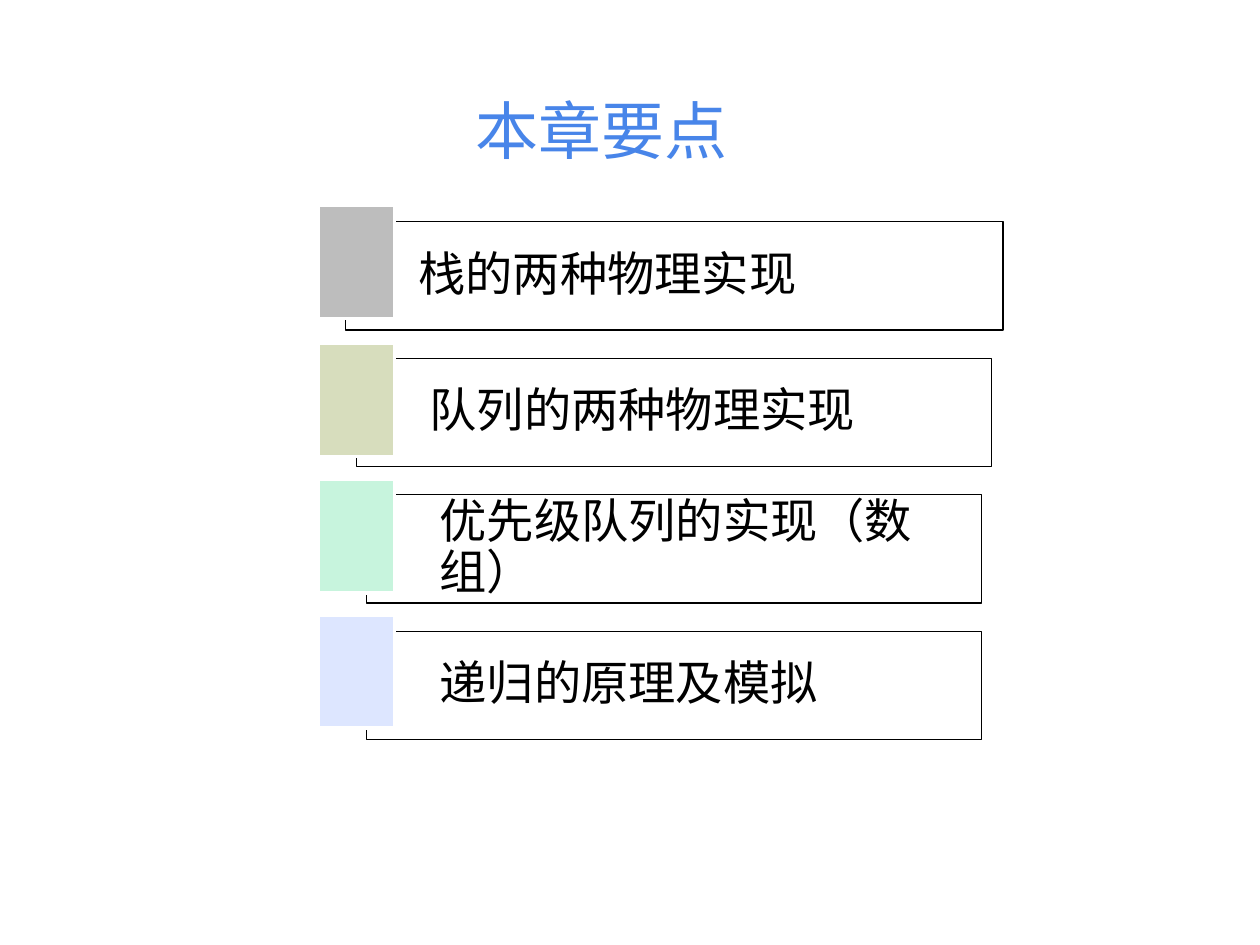
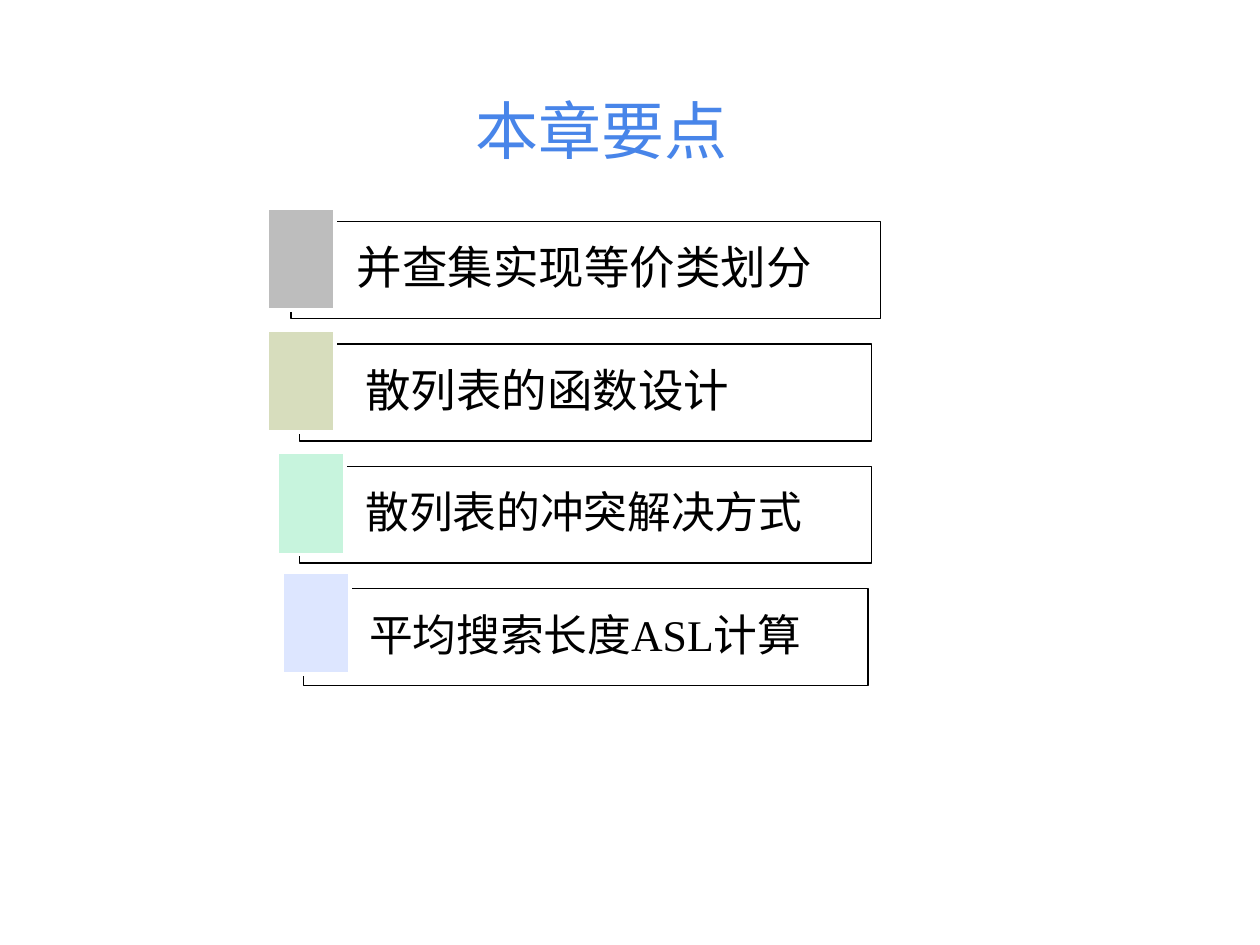
import pptx
import pptx.util
import pptx.dml.color
import pptx.enum.shapes
import pptx.enum.text
import pptx.oxml
import pptx.oxml.ns

Inches, Pt = pptx.util.Inches, pptx.util.Pt
RGBColor = pptx.dml.color.RGBColor
ALIGN = pptx.enum.text.PP_ALIGN
ANCHOR = pptx.enum.text.MSO_ANCHOR

# Content: each point is (text, size, bar left, tab left, tab rise above the bar)
TITLE = "本章要点"
CHAPTERS = [
    dict(center=5.35, last_top=5.01, bar_height=0.86, tab_size=(0.6, 0.9), indent=0.58,
         points=[("栈的两种物理实现", 27, 2.74, 2.53, 0.13),
                 ("队列的两种物理实现", 27, 2.83, 2.53, 0.12),
                 ("优先级队列的实现（数组）", 27, 2.91, 2.53, 0.12),
                 ("递归的原理及模拟", 27, 2.91, 2.53, 0.13)]),
    dict(center=4.65, last_top=4.67, bar_height=0.77, tab_size=(0.54, 0.81), indent=0.52,
         points=[("并查集实现等价类划分", 26, 2.31, 2.12, 0.11),
                 ("散列表的函数设计", 26, 2.38, 2.12, 0.11),
                 ("散列表的冲突解决方式", 25, 2.38, 2.2, 0.11),
                 ("平均搜索长度ASL计算", 25, 2.41, 2.24, 0.13)]),
]

# Shared style
FONT = "Times New Roman"
BLUE = RGBColor(0x48, 0x85, 0xE9)
BLACK = RGBColor(0, 0, 0)
WHITE = RGBColor(0xFF, 0xFF, 0xFF)
TAB_COLORS = [RGBColor(0xBD, 0xBD, 0xBD), RGBColor(0xD7, 0xDD, 0xBD),
              RGBColor(0xC7, 0xF4, 0xDD), RGBColor(0xDD, 0xE6, 0xFF)]
FIRST_TOP = 1.76
BAR_OPACITY = 40


def write(shape, text, size, color, align=ALIGN.LEFT, anchor=ANCHOR.TOP,
          insets=(0.1, 0.05, 0.1, 0.05), line_spacing=1.0, space_after=0):
    frame = shape.text_frame
    frame.word_wrap = True
    frame.vertical_anchor = anchor
    (frame.margin_left, frame.margin_top,
     frame.margin_right, frame.margin_bottom) = map(Inches, insets)
    paragraph = frame.paragraphs[0]
    paragraph.alignment = align
    paragraph.line_spacing = line_spacing
    paragraph.space_after = Pt(space_after)
    run = paragraph.add_run()
    run.text = text
    run.font.name = FONT
    run.font.size = Pt(size)
    run.font.color.rgb = color


def add_box(slide, left, top, width, height, fill, line, line_width, opacity=100):
    box = slide.shapes.add_shape(pptx.enum.shapes.MSO_SHAPE.RECTANGLE,
                                 *map(Inches, (left, top, width, height)))
    box.shadow.inherit = False
    box.fill.solid()
    box.fill.fore_color.rgb = fill
    box.line.color.rgb = line
    box.line.width = Pt(line_width)
    if opacity < 100:
        color = box.fill._xPr.find(".//" + pptx.oxml.ns.qn("a:srgbClr"))
        alpha = pptx.oxml.parse_xml(
            f'<a:alpha {pptx.oxml.ns.nsdecls("a")} val="{opacity * 1000}"/>')
        color.append(alpha)
    return box


def add_chapter(prs, chapter):
    slide = prs.slides.add_slide(prs.slide_layouts[6])
    points = chapter["points"]
    pitch = (chapter["last_top"] - FIRST_TOP) / (len(points) - 1)

    # Bars centred on one axis, each with a coloured tab over its left edge
    for row, (text, size, left, tab_left, rise) in enumerate(points):
        top = FIRST_TOP + row * pitch
        bar = add_box(slide, left, top, 2 * (chapter["center"] - left),
                      chapter["bar_height"], WHITE, BLACK, 0.75, BAR_OPACITY)
        write(bar, text, size, BLACK, anchor=ANCHOR.MIDDLE,
              insets=(chapter["indent"], 0.11, 0.11, 0.11),
              line_spacing=0.9, space_after=round(size * 0.35))
        add_box(slide, tab_left, top - rise, *chapter["tab_size"],
                TAB_COLORS[row], WHITE, 2)

    # Title
    title = slide.shapes.add_textbox(*map(Inches, (0.12, 0.68, 9.31, 0.82)))
    write(title, TITLE, 36, BLUE, align=ALIGN.CENTER)


def main():
    prs = pptx.Presentation()
    prs.slide_width, prs.slide_height = Inches(10), Inches(7.5)
    for chapter in CHAPTERS:
        add_chapter(prs, chapter)
    prs.save("out.pptx")


if __name__ == "__main__":
    main()
